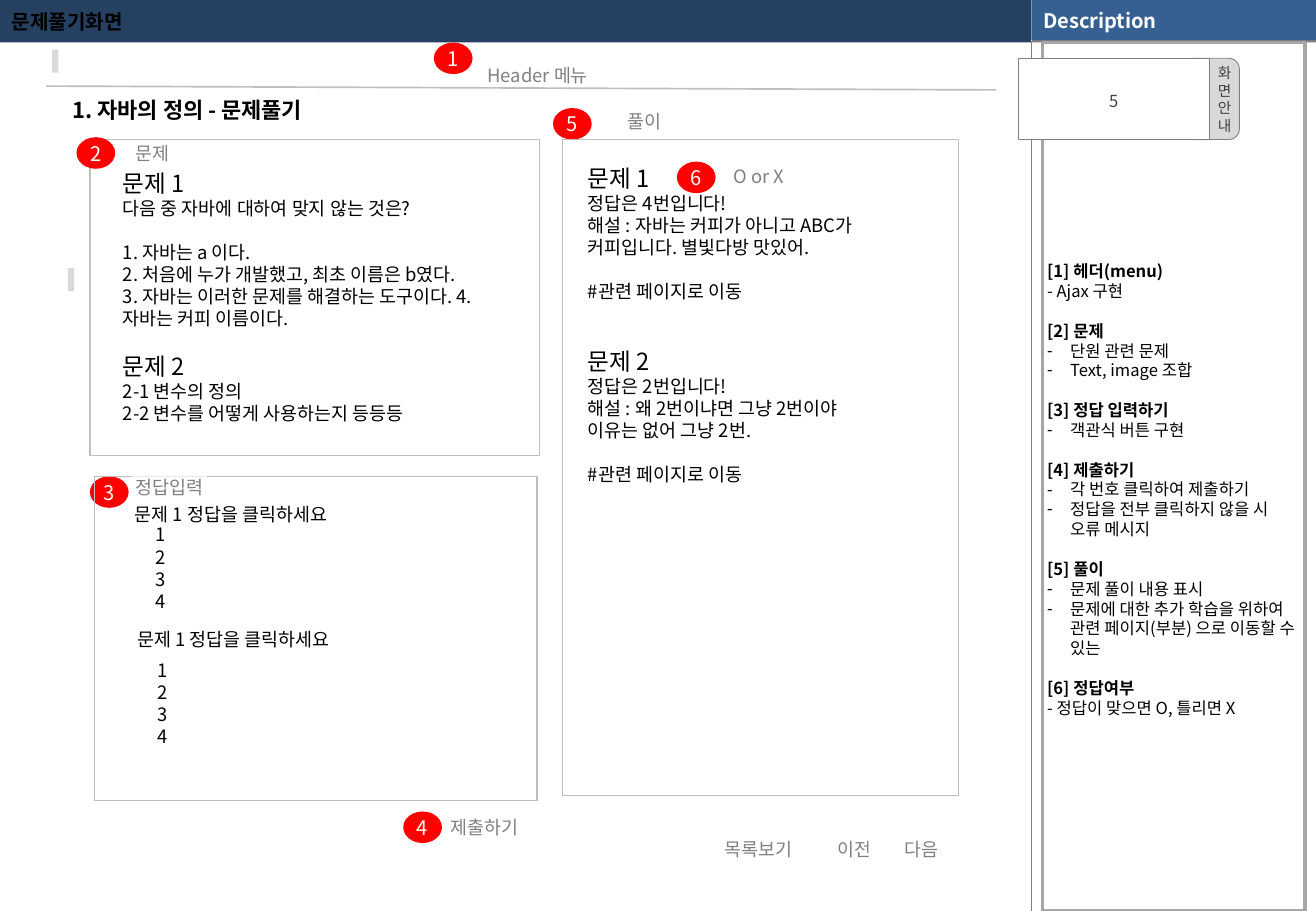
from dataclasses import dataclass

from lxml.etree import SubElement
from pptx import Presentation
from pptx.dml.color import RGBColor
from pptx.enum.shapes import MSO_CONNECTOR, MSO_SHAPE
from pptx.enum.text import MSO_ANCHOR, MSO_AUTO_SIZE, PP_ALIGN
from pptx.oxml.ns import qn
from pptx.util import Cm, Pt


@dataclass(frozen=True)
class Theme:
    face: str = "Noto Sans CJK KR"
    navy: str = "254061"
    blue: str = "376092"
    red: str = "FF0000"
    white: str = "FFFFFF"
    black: str = "000000"
    dark: str = "404040"
    gray: str = "808080"
    mid: str = "A6A6A6"
    edge: str = "BFBFBF"
    pale: str = "D9D9D9"
    head: float = 14
    topic: float = 13
    bar: float = 11.9
    base: float = 10.9
    note: float = 9.8
    tab: float = 8.7
    lead: float = 1.2


T = Theme()

# Each line: text, size, blank lines before it
QUIZ = [
    ("문제 1", T.head, 0),
    ("다음 중 자바에 대하여 맞지 않는 것은?", T.base, 0),
    ("1. 자바는 a 이다.", T.base, 1),
    ("2. 처음에 누가 개발했고, 최초 이름은 b였다.", T.base, 0),
    ("3. 자바는 이러한 문제를 해결하는 도구이다. 4. 자바는 커피 이름이다.", T.base, 0),
    ("문제 2", T.head, 1),
    ("2-1 변수의 정의", T.base, 0),
    ("2-2 변수를 어떻게 사용하는지 등등등", T.base, 0),
]
SOLVE = [
    ("문제 1", T.head, 0),
    ("정답은 4번입니다!", T.base, 0),
    ("해설 : 자바는 커피가 아니고 ABC가 커피입니다. 별빛다방 맛있어.", T.base, 0),
    ("#관련 페이지로 이동", T.base, 1),
    ("문제 2", T.head, 2),
    ("정답은 2번입니다!", T.base, 0),
    ("해설 : 왜 2번이냐면 그냥 2번이야 이유는 없어 그냥 2번.", T.base, 0),
    ("#관련 페이지로 이동", T.base, 1),
]
# Each note: heading, items, whether the items are bulleted
NOTES = [
    ("[1] 헤더(menu)", ["- Ajax 구현"], False),
    ("[2] 문제", ["단원 관련 문제", "Text, image 조합"], True),
    ("[3] 정답 입력하기", ["객관식 버튼 구현"], True),
    ("[4] 제출하기", ["각 번호 클릭하여 제출하기",
                  "정답을 전부 클릭하지 않을 시 오류 메시지"], True),
    ("[5] 풀이", ["문제 풀이 내용 표시",
               "문제에 대한 추가 학습을 위하여 관련 페이지(부분) 으로 이동할 수 있는"], True),
    ("[6] 정답여부", ["- 정답이 맞으면 O, 틀리면 X"], False),
]


def put(item, vals):
    """Set each named value on the item."""
    for name, val in vals.items():
        setattr(item, name, val)


def place(shape, box):
    put(shape, dict(zip(("left", "top", "width", "height"), map(Cm, box))))


def frame(shape, inset=(0, 0, 0, 0), anchor=MSO_ANCHOR.TOP, wrap=True):
    """Set insets (left, top, right, bottom in cm), anchor and wrapping."""
    sides = ("margin_left", "margin_top", "margin_right", "margin_bottom")
    put(shape.text_frame, {"auto_size": MSO_AUTO_SIZE.NONE, "word_wrap": wrap,
                           "vertical_anchor": anchor,
                           **dict(zip(sides, map(Cm, inset)))})


def mark(para, dash):
    """Give the paragraph a hanging dash, or no bullet."""
    props = para._p.get_or_add_pPr()
    props.set("marL", str(Cm(0.48) if dash else 0))
    props.set("indent", str(Cm(-0.48) if dash else 0))
    if dash:
        tint = SubElement(props, qn("a:buClr"))
        SubElement(tint, qn("a:srgbClr")).set("val", T.black)
        SubElement(props, qn("a:buChar")).set("char", "-")
    else:
        SubElement(props, qn("a:buNone"))


def write(shape, text, size, color=T.black, bold=False, gap=0,
          align=PP_ALIGN.LEFT, lead=T.lead, dash=False):
    """Add one paragraph; gap counts blank lines before it."""
    body = shape.text_frame
    para = body.paragraphs[0] if not body.text else body.add_paragraph()
    mark(para, dash)
    put(para, {"alignment": align, "line_spacing": Pt(size * lead),
               "space_before": Pt(T.base * T.lead * gap), "space_after": Pt(0)})
    run = para.add_run()
    run.text = text
    put(run.font, {"name": T.face, "size": Pt(size), "bold": bold})
    run.font.color.rgb = RGBColor.from_string(color)
    SubElement(run._r.get_or_add_rPr(), qn("a:ea")).set("typeface", T.face)


def block(slide, box, fill=None, line=None, kind=MSO_SHAPE.RECTANGLE, width=0.5):
    shape = slide.shapes.add_shape(kind, *map(Cm, box))
    shape.shadow.inherit = False
    paint(shape, fill, line, width)
    return shape


def paint(shape, fill, line, width):
    if fill:
        shape.fill.solid()
        shape.fill.fore_color.rgb = RGBColor.from_string(fill)
    else:
        shape.fill.background()
    if line:
        shape.line.color.rgb = RGBColor.from_string(line)
        shape.line.width = Pt(width)
    else:
        shape.line.fill.background()


def rule(slide, ends, color, width):
    line = slide.shapes.add_connector(MSO_CONNECTOR.STRAIGHT, *map(Cm, ends))
    line.line.color.rgb = RGBColor.from_string(color)
    line.line.width = Pt(width)
    SubElement(line._element.spPr, qn("a:effectLst"))


def grid(slide, box):
    """Draw an empty bordered panel as a one-cell table."""
    table = slide.shapes.add_table(1, 1, *map(Cm, box)).table
    put(table, {"first_row": False, "horz_banding": False})
    cell = table.cell(0, 0)
    props = cell._tc.get_or_add_tcPr()
    for side in ("lnL", "lnR", "lnT", "lnB"):
        edge = SubElement(props, qn("a:" + side))
        edge.set("w", str(Pt(0.96)))
        fill = SubElement(edge, qn("a:solidFill"))
        SubElement(fill, qn("a:srgbClr")).set("val", T.edge)
    cell.fill.background()


def label(slide, text, left, top, width=2.21, fill=T.white):
    shape = block(slide, (left, top, width, 0.46), fill)
    frame(shape, wrap=False)
    write(shape, text, T.base, T.gray, align=PP_ALIGN.CENTER)


def badge(slide, num, left, top):
    shape = block(slide, (left, top, 0.81, 0.66), T.red, kind=MSO_SHAPE.OVAL)
    frame(shape, anchor=MSO_ANCHOR.MIDDLE, wrap=False)
    write(shape, str(num), T.bar, T.white, align=PP_ALIGN.CENTER)


def prose(slide, box, lines):
    shape = block(slide, box, T.white)
    frame(shape)
    for text, size, gap in lines:
        write(shape, text, size, gap=gap)


def bars(slide):
    block(slide, (0, 0, 21.56, 0.89), T.navy)
    block(slide, (21.56, 0, 5.95, 0.89), T.gray)
    rule(slide, (21.56, 0, 21.56, 0.89), T.white, 0.25)
    rule(slide, (21.56, 0.86, 21.56, 19.05), T.gray, 0.25)
    desc = block(slide, (21.56, 0, 5.95, 0.84), T.blue)
    frame(desc, (0.25, 0, 0.25, 0), MSO_ANCHOR.MIDDLE)
    write(desc, "Description", T.bar, T.white, bold=True)


def holders(slide):
    """Fill the title and the description list, above the bars."""
    title, notes = slide.shapes.title, slide.placeholders[1]
    for shape, box in ((title, (0, 0, 20.95, 0.89)), (notes, (21.79, 0.89, 5.49, 18.16))):
        slide.shapes._spTree.append(shape._element)
        place(shape, box)
    frame(title, (0.25, 0.13, 0.25, 0.13), MSO_ANCHOR.MIDDLE)
    write(title, "문제풀기화면", T.bar, bold=True)
    paint(notes, None, T.mid, 2)
    frame(notes, (0.1, 4.57, 0.18, 0))
    for index, (head, items, dash) in enumerate(NOTES):
        write(notes, head, T.note, bold=True, gap=0.9 if index else 0)
        for item in items:
            write(notes, item, T.note, dash=dash)


def top(slide):
    rule(slide, (0.97, 1.8, 20.83, 1.88), T.edge, 1)
    for left, up in ((1.09, 1.04), (1.42, 5.61)):
        block(slide, (left, up, 0.13, 0.48), T.pale)
    topic = slide.shapes.add_textbox(*map(Cm, (1.27, 1.9, 7.01, 0.81)))
    menu = slide.shapes.add_textbox(*map(Cm, (1.17, 0.99, 20.14, 0.71)))
    for shape in (topic, menu):
        frame(shape, (0.25, 0.13, 0.25, 0.13))
    write(topic, "1. 자바의 정의 - 문제풀기", T.topic, bold=True)
    write(menu, "Header 메뉴", T.base, T.gray, align=PP_ALIGN.CENTER, lead=1.8)


def card(slide):
    tab = block(slide, (24.74, 1.22, 1.17, 1.7), T.pale, T.gray, MSO_SHAPE.ROUNDED_RECTANGLE)
    tab.adjustments[0] = 0.19
    frame(tab, (0, 0, 0.1, 0), MSO_ANCHOR.MIDDLE, False)
    for char in "화면안내":
        write(tab, char, T.tab, T.dark, align=PP_ALIGN.RIGHT)
    page = block(slide, (21.29, 1.22, 3.99, 1.7), T.white, T.gray)
    frame(page, (0.1, 0.1, 0.1, 0.1), MSO_ANCHOR.MIDDLE, False)
    write(page, "5", T.note, T.dark, align=PP_ALIGN.CENTER, lead=1.44)


def main():
    deck = Presentation()
    put(deck, {"slide_width": Cm(27.51), "slide_height": Cm(19.05)})
    slide = deck.slides.add_slide(deck.slide_layouts[1])
    bars(slide)
    holders(slide)
    top(slide)
    card(slide)
    grid(slide, (1.88, 2.92, 9.4, 6.6))
    prose(slide, (2.57, 3.53, 7.59, 5.79), QUIZ)
    label(slide, "문제", 2.41, 2.97, 1.55)
    for text, left in (("목록보기", 14.76), ("이전", 16.76), ("다음", 18.16)):
        label(slide, text, left, 17.53)
    label(slide, "풀이", 12.37, 2.31, fill=None)
    for num, left, up in ((1, 9.07, 0.89), (2, 1.6, 2.87), (5, 11.56, 2.26), (3, 1.88, 9.96)):
        badge(slide, num, left, up)
    grid(slide, (11.76, 2.92, 8.28, 13.72))
    grid(slide, (1.98, 9.96, 9.25, 6.78))
    picks = [(num, T.base, 0) for num in "1234"]
    for left, up, drop in ((2.82, 10.52, 0.43), (2.87, 13.13, 0.66)):
        prose(slide, (left, up, 7.59, 0.46), [("문제 1 정답을 클릭하세요", T.base, 0)])
        prose(slide, (left + 0.43, up + drop, 0.71, 1.83), picks)
    label(slide, "정답입력", 2.77, 9.96, 1.55)
    label(slide, "제출하기", 9.02, 17.07)
    badge(slide, 4, 8.43, 16.97)
    prose(slide, (12.29, 3.43, 6.35, 6.71), SOLVE)
    label(slide, "O or X", 14.76, 3.45, fill=None)
    badge(slide, 6, 14.15, 3.38)
    deck.save("out.pptx")


if __name__ == "__main__":
    main()
